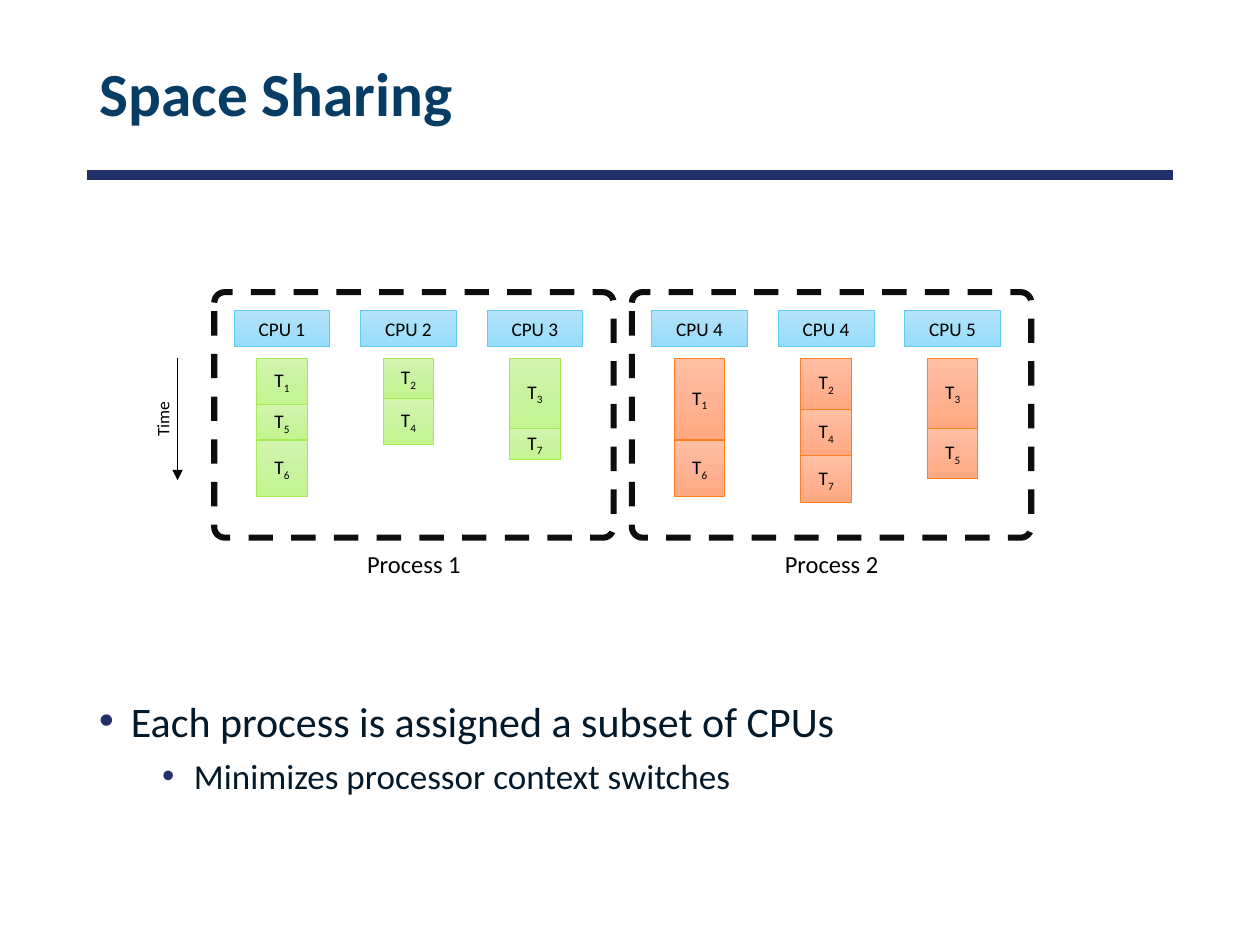
from copy import deepcopy

from lxml.etree import SubElement
from pptx import Presentation
from pptx.dml.color import RGBColor
from pptx.enum.dml import MSO_LINE
from pptx.enum.shapes import MSO_CONNECTOR, MSO_SHAPE
from pptx.enum.text import MSO_ANCHOR, MSO_AUTO_SIZE, PP_ALIGN
from pptx.oxml.ns import qn
from pptx.util import Cm, Pt

COLORS = {
    "title": "073C65",
    "body": "031828",
    "accent": "21306A",
    "black": "000000",
    "frame": "0D0D0D",
}
# Three gradient stops from top to bottom, then the outline
BOX_STYLES = {
    "cpu": ("B5E5FB", "A6DFF9", "95DDFB", "5ECCF3"),
    "green": ("D2F5AF", "C8F3A0", "C2F58F", "A7EA52"),
    "orange": ("FFBFA3", "FFB394", "FFA881", "FF8021"),
}
# Each CPU carries its threads as (number, height in cm)
PROCESSES = [
    ("Process 1", "green", [
        ("CPU 1", [("1", 0.94), ("5", 0.71), ("6", 1.14)]),
        ("CPU 2", [("2", 0.81), ("4", 0.94)]),
        ("CPU 3", [("3", 1.41), ("7", 0.64)]),
    ]),
    ("Process 2", "orange", [
        ("CPU 4", [("1", 1.65), ("6", 1.14)]),
        ("CPU 4", [("2", 1.03), ("4", 0.94), ("7", 0.94)]),
        ("CPU 5", [("3", 1.41), ("5", 1.02)]),
    ]),
]
PROCESS_LEFT, PROCESS_PITCH, PROCESS_WIDTH = 4.32, 8.42, 8.05
CPU_OFFSET, CPU_PITCH, CPU_WIDTH = 0.4, 2.55, 1.93
THREAD_TOP, THREAD_WIDTH = 7.22, 1.02


def rgb(name):
    return RGBColor.from_string(COLORS[name])


def format_runs(paragraph, size, color, bold=False):
    for run in paragraph.runs:
        run.font.name = "Calibri"
        run.font.size = Pt(size)
        run.font.bold = bold
        run.font.color.rgb = rgb(color)


def fill_gradient(shape, stop_colors):
    shape.fill.gradient()
    shape.fill.gradient_angle = 270
    stops = shape._element.spPr.find(qn("a:gradFill")).find(qn("a:gsLst"))
    stops.insert(1, deepcopy(stops[0]))
    for index, (stop, color) in enumerate(zip(shape.fill.gradient_stops, stop_colors)):
        stop.position = index / 2
        stop.color.rgb = RGBColor.from_string(color)


def add_box(slide, left, top, width, height, style, text, subscript=""):
    shape = slide.shapes.add_shape(
        MSO_SHAPE.RECTANGLE, Cm(left), Cm(top), Cm(width), Cm(height))
    shape.shadow.inherit = False
    *stop_colors, outline = BOX_STYLES[style]
    fill_gradient(shape, stop_colors)
    shape.line.color.rgb = RGBColor.from_string(outline)
    shape.line.width = Pt(0.5)
    shape.text_frame.vertical_anchor = MSO_ANCHOR.MIDDLE
    paragraph = shape.text_frame.paragraphs[0]
    paragraph.text = text
    paragraph.alignment = PP_ALIGN.CENTER
    if subscript:
        run = paragraph.add_run()
        run.text = subscript
        run._r.get_or_add_rPr().set("baseline", "-25000")
    format_runs(paragraph, 11, "black")


def add_label(slide, left, top, width, height, text, size, rotation=0):
    label = slide.shapes.add_textbox(Cm(left), Cm(top), Cm(width), Cm(height))
    label.rotation = rotation
    label.text_frame.word_wrap = False
    label.text_frame.auto_size = MSO_AUTO_SIZE.SHAPE_TO_FIT_TEXT
    label.text_frame.text = text
    paragraph = label.text_frame.paragraphs[0]
    paragraph.alignment = PP_ALIGN.CENTER
    format_runs(paragraph, size, "black")


def add_line(slide, start, end, color, width, arrow=False):
    connector = slide.shapes.add_connector(
        MSO_CONNECTOR.STRAIGHT, *(Cm(value) for value in start + end))
    connector.line.color.rgb = rgb(color)
    connector.line.width = Pt(width)
    if arrow:
        SubElement(connector.line._get_or_add_ln(), qn("a:tailEnd"), type="triangle")
    SubElement(connector._element.spPr, qn("a:effectLst"))


def add_frame(slide, left):
    frame = slide.shapes.add_shape(
        MSO_SHAPE.ROUNDED_RECTANGLE, Cm(left), Cm(5.89), Cm(PROCESS_WIDTH), Cm(4.95))
    frame.adjustments[0] = 0.043
    frame.shadow.inherit = False
    frame.fill.background()
    frame.line.color.rgb = rgb("frame")
    frame.line.width = Pt(3.5)
    frame.line.dash_style = MSO_LINE.DASH


def add_process(slide, left, name, style, cpus):
    for column, (cpu, threads) in enumerate(cpus):
        cpu_left = left + CPU_OFFSET + column * CPU_PITCH
        add_box(slide, cpu_left, 6.25, CPU_WIDTH, 0.74, "cpu", cpu)
        thread_left = cpu_left + (CPU_WIDTH - THREAD_WIDTH) / 2
        top = THREAD_TOP
        for number, height in threads:
            add_box(slide, thread_left, top, THREAD_WIDTH, height, style, "T", number)
            top += height
    add_frame(slide, left)
    add_label(slide, left + (PROCESS_WIDTH - 2.39) / 2, 10.95, 2.39, 0.86, name, 14)


def set_title(slide, text):
    title = slide.shapes.title
    title.left, title.top, title.width, title.height = Cm(1.75), Cm(0.58), Cm(21.9), Cm(2.74)
    title.text_frame.text = text
    title.text_frame.auto_size = MSO_AUTO_SIZE.NONE
    title.text_frame.vertical_anchor = MSO_ANCHOR.MIDDLE
    paragraph = title.text_frame.paragraphs[0]
    paragraph.alignment = PP_ALIGN.LEFT
    paragraph.line_spacing = 0.9
    format_runs(paragraph, 35, "title", bold=True)


def add_bullets(slide, bullets):
    """Add (text, level, size, space before, indent in cm) bullets."""
    box = slide.shapes.add_textbox(Cm(1.75), Cm(13.89), Cm(21.9), Cm(4.57))
    frame = box.text_frame
    frame.word_wrap = True
    frame.text = "\n".join(bullet[0] for bullet in bullets)
    for paragraph, (_, level, size, space, indent) in zip(frame.paragraphs, bullets):
        paragraph.level = level
        paragraph.space_before = Pt(space)
        format_runs(paragraph, size, "body")
        properties = paragraph._p.get_or_add_pPr()
        properties.set("marL", str(Cm(indent)))
        properties.set("indent", str(-Cm(0.64)))
        bullet_color = SubElement(properties, qn("a:buClr"))
        SubElement(bullet_color, qn("a:srgbClr"), val=COLORS["accent"])
        SubElement(properties, qn("a:buFont"), typeface="Arial")
        SubElement(properties, qn("a:buChar"), char="•")


def main():
    presentation = Presentation()
    presentation.slide_width, presentation.slide_height = Cm(25.4), Cm(19.05)
    slide = presentation.slides.add_slide(presentation.slide_layouts[5])
    set_title(slide, "Space Sharing")
    add_line(slide, (1.75, 3.53), (23.65, 3.53), "accent", 6)
    add_bullets(slide, [
        ("Each process is assigned a subset of CPUs", 0, 24, 10, 0.64),
        ("Minimizes processor context switches", 1, 20, 5, 1.91),
    ])
    add_line(slide, (3.58, THREAD_TOP), (3.58, 9.68), "black", 1, arrow=True)
    add_label(slide, 2.67, 8.1, 1.22, 0.69, "Time", 10, rotation=270)
    for index, process in enumerate(PROCESSES):
        add_process(slide, PROCESS_LEFT + index * PROCESS_PITCH, *process)
    presentation.save("out.pptx")


if __name__ == "__main__":
    main()
